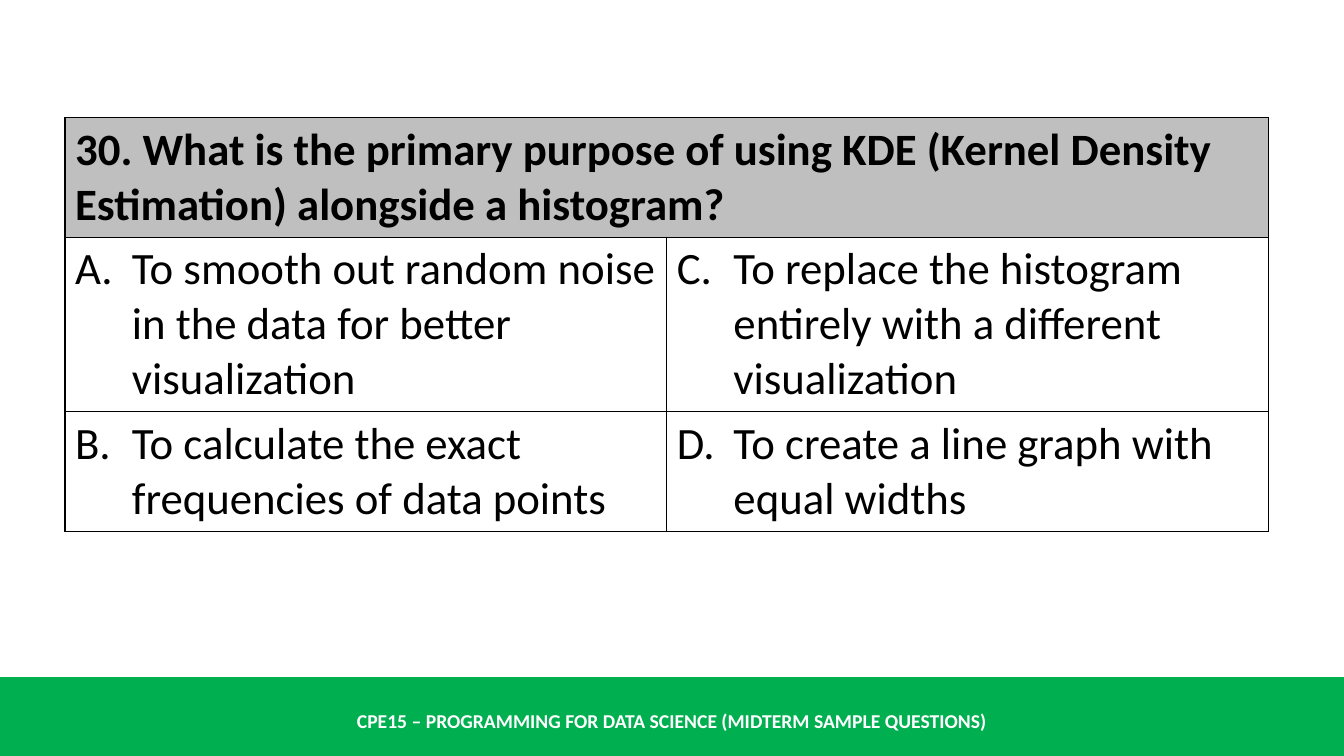
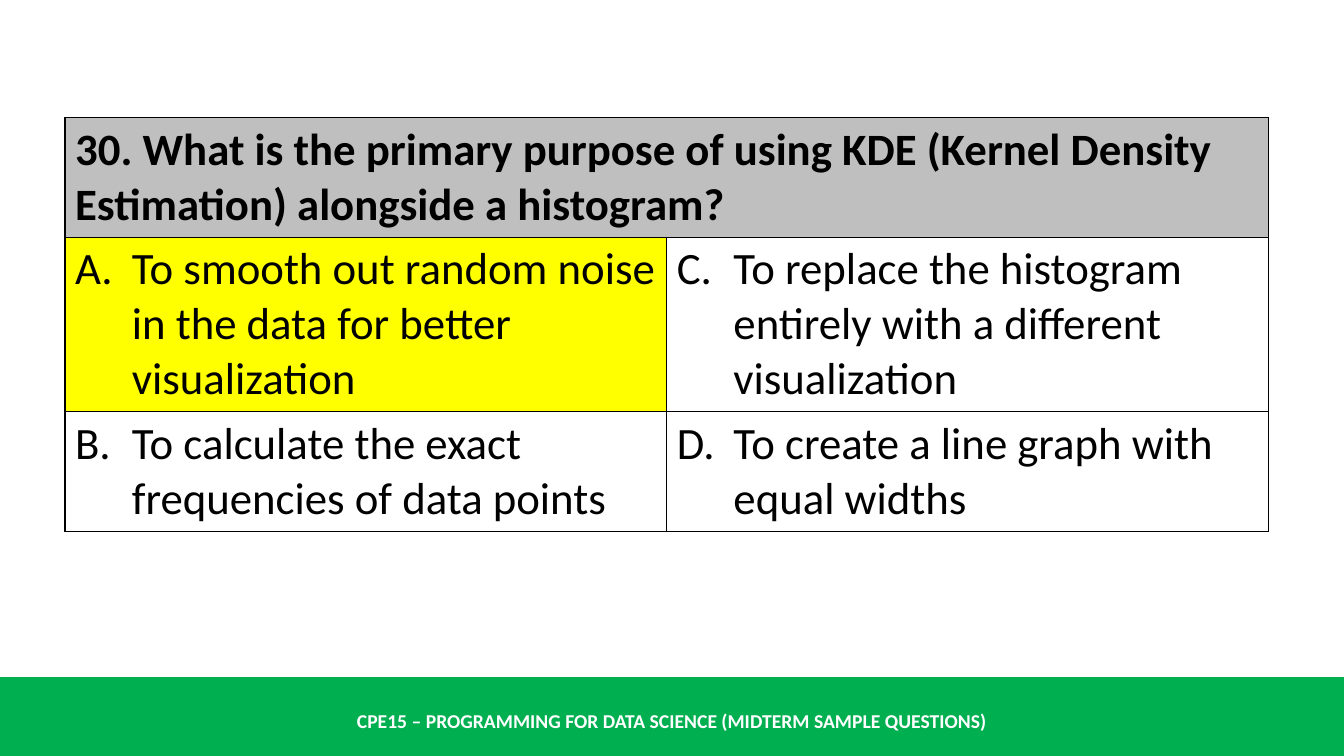
from lxml.etree import SubElement
from pptx import Presentation
from pptx.dml.color import RGBColor
from pptx.enum.shapes import MSO_SHAPE as SHAPE
from pptx.enum.text import MSO_ANCHOR as ANCHOR, PP_ALIGN as ALIGN
from pptx.oxml.ns import qn
from pptx.util import Emu, Pt

GREEN = RGBColor(0x00, 0xB0, 0x50)
GREY = RGBColor(0xBF, 0xBF, 0xBF)
YELLOW = RGBColor(0xFF, 0xFF, 0x00)
WHITE = RGBColor(0xFF, 0xFF, 0xFF)
BLACK = RGBColor(0x00, 0x00, 0x00)

FONT = "Calibri"
SLIDE_W, SLIDE_H = 1280, 720
BAND_TOP = 645
TABLE_LEFT, TABLE_TOP, COLUMN_W = 62, 112, 573
ROW_HEIGHTS = (114, 166, 114)
ANSWER_INDENT = 54

FOOTER = "CPE15 – PROGRAMMING FOR DATA SCIENCE (MIDTERM SAMPLE QUESTIONS)"
QUESTION = ("30. What is the primary purpose of using KDE (Kernel Density "
            "Estimation) alongside a histogram?")
ANSWERS = (
    "To smooth out random noise in the data for better visualization",
    "To calculate the exact frequencies of data points",
    "To replace the histogram entirely with a different visualization",
    "To create a line graph with equal widths",
)
CORRECT = 0


def px(n):
    return Emu(n * 9525)


def box(left, top, width, height):
    return [px(n) for n in (left, top, width, height)]


def write(p, text, size, color, bold=False):
    p.text = text
    for r in p.runs:
        r.font.name = FONT
        r.font.size = Pt(size)
        r.font.bold = bold
        r.font.color.rgb = color


def add_footer(slide):
    band = slide.shapes.add_shape(
        SHAPE.RECTANGLE, *box(0, BAND_TOP, SLIDE_W, SLIDE_H - BAND_TOP))
    band.shadow.inherit = False
    band.fill.solid()
    band.fill.fore_color.rgb = GREEN
    band.line.fill.background()

    tf = slide.shapes.add_textbox(*box(0, 667, SLIDE_W, 38)).text_frame
    tf.word_wrap = True
    tf.vertical_anchor = ANCHOR.MIDDLE
    p = tf.paragraphs[0]
    p.alignment = ALIGN.CENTER
    write(p, FOOTER, 14, WHITE, bold=True)


def style_cell(cell, fill=None):
    """Draw the four borders, then the fill, which must follow them in the XML."""
    cell.vertical_anchor = ANCHOR.MIDDLE
    tc_pr = cell._tc.get_or_add_tcPr()
    for side in ("lnL", "lnR", "lnT", "lnB"):
        ln = SubElement(tc_pr, qn(f"a:{side}"), w=str(Pt(1)))
        solid = SubElement(ln, qn("a:solidFill"))
        SubElement(solid, qn("a:srgbClr"), val=str(BLACK))
    if fill is None:
        cell.fill.background()
    else:
        cell.fill.solid()
        cell.fill.fore_color.rgb = fill


def number_paragraph(p, start):
    """Letter the paragraph A., B., ... with a hanging indent."""
    p_pr = p._p.get_or_add_pPr()
    p_pr.set("marL", str(px(ANSWER_INDENT)))
    p_pr.set("indent", str(px(-ANSWER_INDENT)))
    SubElement(p_pr, qn("a:buFont"), typeface="+mj-lt")
    SubElement(p_pr, qn("a:buAutoNum"), type="alphaUcPeriod", startAt=str(start))


def add_question_table(slide, highlighted=None):
    frame = slide.shapes.add_table(
        len(ROW_HEIGHTS), 2,
        *box(TABLE_LEFT, TABLE_TOP, 2 * COLUMN_W, sum(ROW_HEIGHTS)))
    table = frame.table
    table.first_row = table.horz_banding = False
    for row, height in zip(table.rows, ROW_HEIGHTS):
        row.height = px(height)

    heading = table.cell(0, 0)
    heading.merge(table.cell(0, 1))
    for col in range(2):
        style_cell(table.cell(0, col), GREY)
    write(heading.text_frame.paragraphs[0], QUESTION, 32, BLACK, bold=True)

    for i, answer in enumerate(ANSWERS):
        col, row = divmod(i, 2)
        cell = table.cell(row + 1, col)
        style_cell(cell, YELLOW if i == highlighted else None)
        p = cell.text_frame.paragraphs[0]
        number_paragraph(p, i + 1)
        write(p, answer, 32, BLACK)


def main():
    prs = Presentation()
    prs.slide_width, prs.slide_height = px(SLIDE_W), px(SLIDE_H)
    for highlighted in (None, CORRECT):
        slide = prs.slides.add_slide(prs.slide_layouts[6])
        add_footer(slide)
        add_question_table(slide, highlighted)
    prs.save("out.pptx")


if __name__ == "__main__":
    main()
